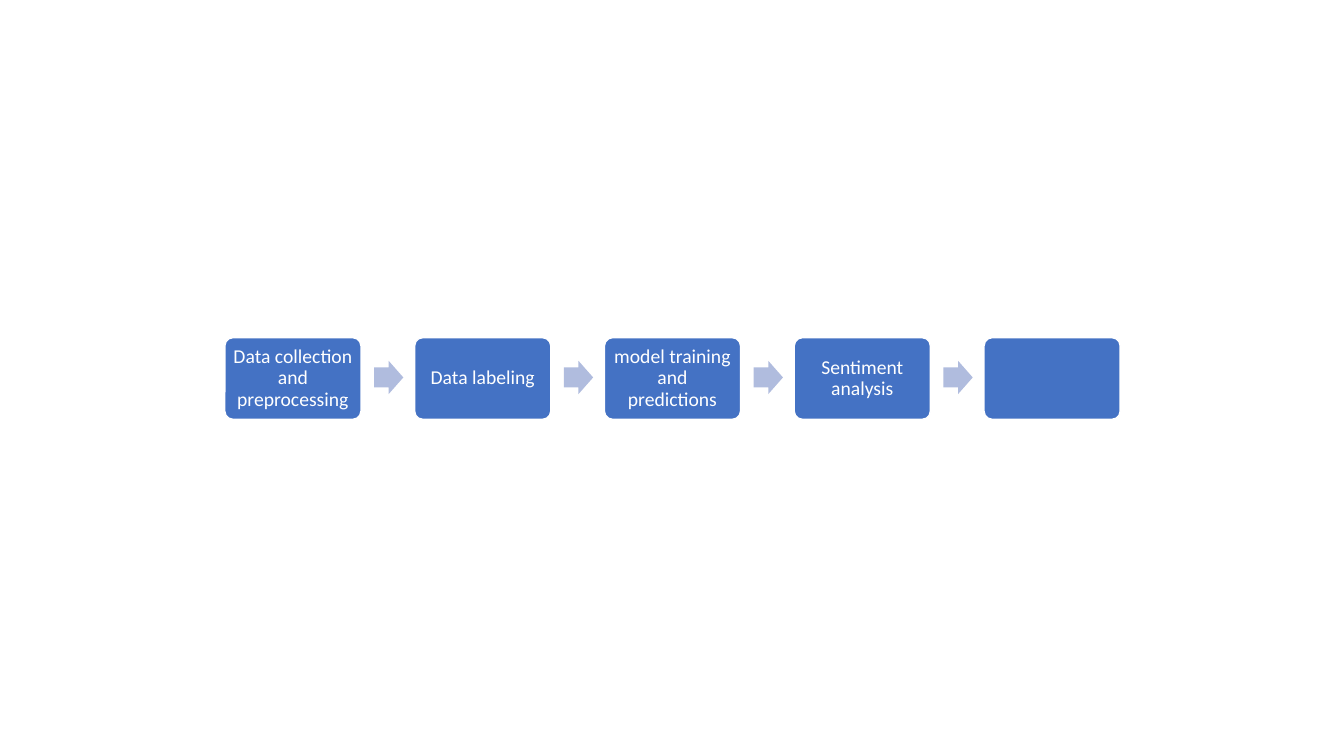
from pptx import Presentation
from pptx.dml.color import RGBColor
from pptx.enum.shapes import MSO_SHAPE
from pptx.enum.text import MSO_ANCHOR, PP_ALIGN
from pptx.util import Inches, Pt

BLUE = RGBColor(0x44, 0x72, 0xC4)
PALE_BLUE = RGBColor(0xB0, 0xBC, 0xDE)
WHITE = RGBColor(0xFF, 0xFF, 0xFF)

STEPS = [
    "Data collection and preprocessing",
    "Data labeling",
    "model training and predictions",
    "Sentiment analysis",
    "",  # the last step has no label
]
FIRST_LEFT, LAST_LEFT = 2.23, 9.76
STEP_PITCH = (LAST_LEFT - FIRST_LEFT) / (len(STEPS) - 1)
ARROW_OFFSET = 1.48

presentation = Presentation()
presentation.slide_width = Inches(13.33)
presentation.slide_height = Inches(7.5)
slide = presentation.slides.add_slide(presentation.slide_layouts[6])

for index, label in enumerate(STEPS):
    left = FIRST_LEFT + index * STEP_PITCH

    # Step box
    box = slide.shapes.add_shape(
        MSO_SHAPE.ROUNDED_RECTANGLE,
        Inches(left), Inches(3.35), Inches(1.35), Inches(0.81))
    box.adjustments[0] = 0.1
    box.shadow.inherit = False
    box.fill.solid()
    box.fill.fore_color.rgb = BLUE
    box.line.color.rgb = WHITE
    box.line.width = Pt(1)

    # Step label
    if label:
        text_frame = box.text_frame
        text_frame.text = label
        text_frame.word_wrap = True
        text_frame.vertical_anchor = MSO_ANCHOR.MIDDLE
        text_frame.margin_left = text_frame.margin_right = Inches(0.06)
        text_frame.margin_top = text_frame.margin_bottom = Inches(0.06)
        paragraph = text_frame.paragraphs[0]
        paragraph.alignment = PP_ALIGN.CENTER
        paragraph.line_spacing = 0.9
        font = paragraph.runs[0].font
        font.name = "Calibri"
        font.size = Pt(14)
        font.color.rgb = WHITE

    # Arrow to the next step
    if index < len(STEPS) - 1:
        arrow = slide.shapes.add_shape(
            MSO_SHAPE.RIGHT_ARROW,
            Inches(left + ARROW_OFFSET), Inches(3.58), Inches(0.29), Inches(0.33))
        arrow.adjustments[0] = 0.6
        arrow.adjustments[1] = 0.5
        arrow.shadow.inherit = False
        arrow.fill.solid()
        arrow.fill.fore_color.rgb = PALE_BLUE
        arrow.line.fill.background()

presentation.save("out.pptx")
